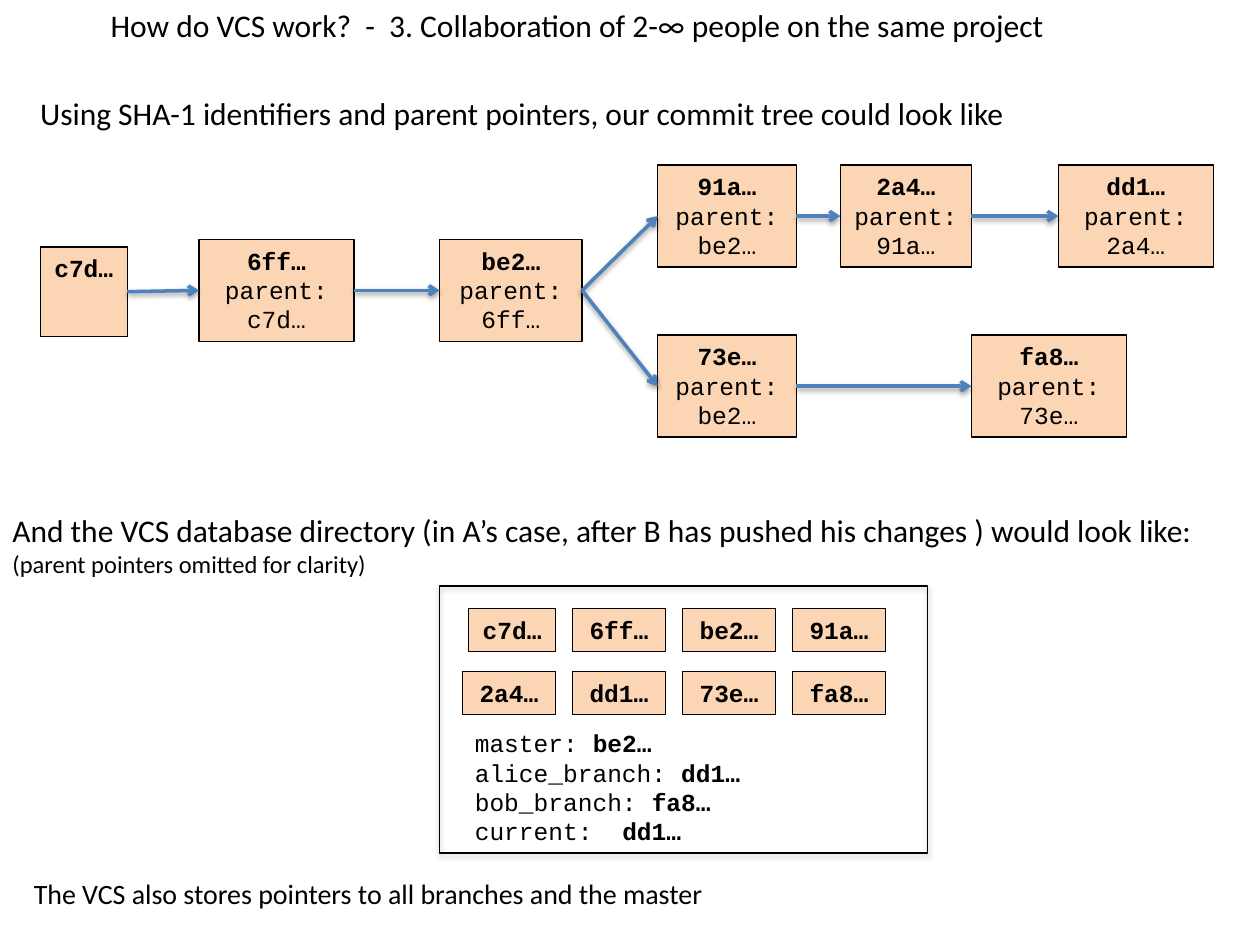
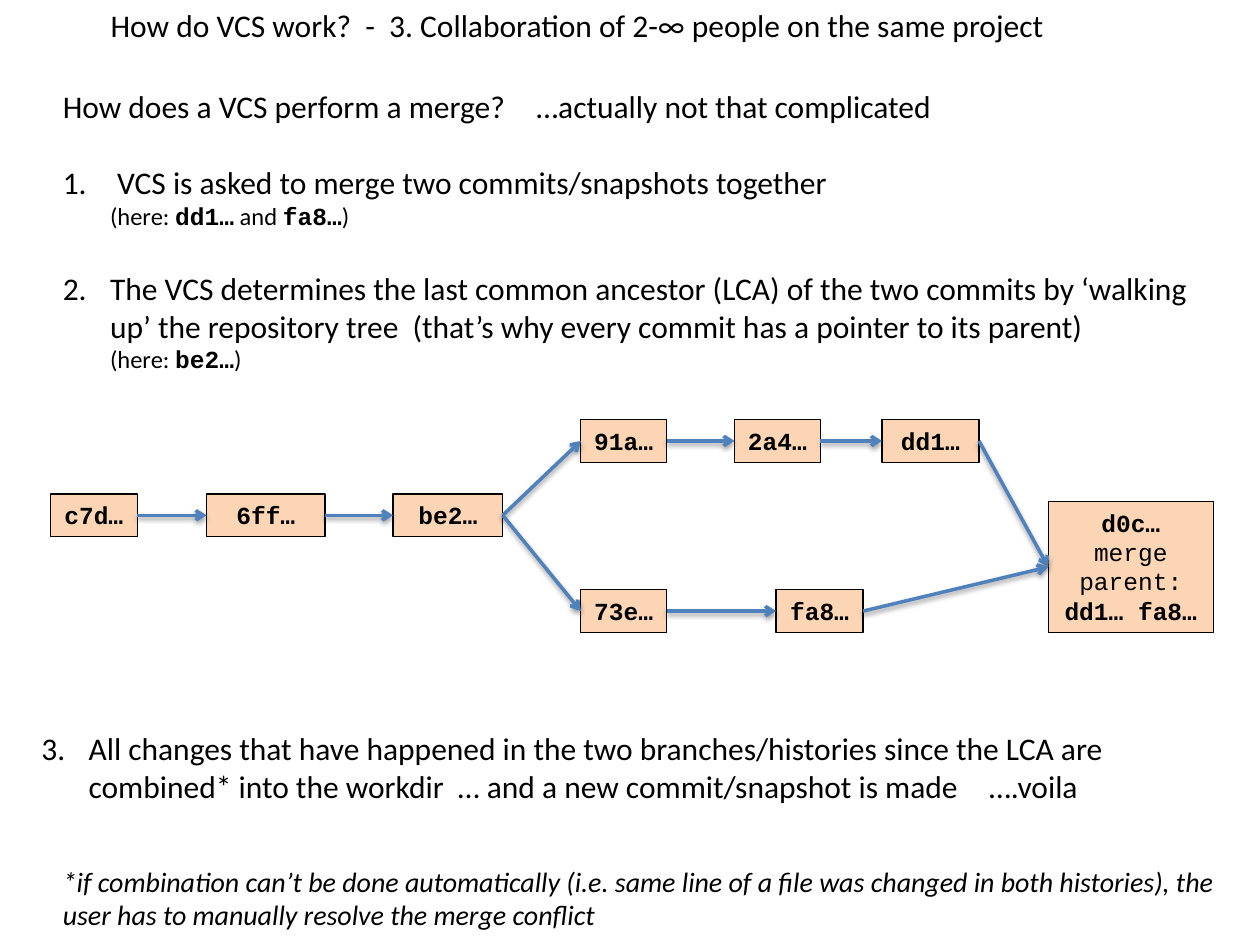
from lxml import etree
from pptx import Presentation
from pptx import util as u
from pptx.dml.color import RGBColor
from pptx.enum import shapes, text
from pptx.oxml import ns

BLACK = RGBColor(0x00, 0x00, 0x00)
PEACH = RGBColor(0xFC, 0xD5, 0xB5)
BLUE = RGBColor(0x4F, 0x81, 0xBD)
SANS, MONO = "Calibri", "Courier New"
TITLE = "How do VCS work?  -  3. Collaboration of 2-∞ people on the same project"

deck = Presentation()
deck.slide_width, deck.slide_height = u.Inches(10), u.Inches(7.5)
COL, ROW = deck.slide_width / 100, deck.slide_height / 75


def write(box, lines, size=18, font=SANS, italic=False, align=None, side=1, top=0.5):
    """Fill a box; `backticks` switch to bold code, a line may be (text, format)."""
    frame = box.text_frame
    frame.word_wrap = True
    frame.vertical_anchor = text.MSO_ANCHOR.TOP
    frame.margin_left = frame.margin_right = int(side * COL)
    frame.margin_top, frame.margin_bottom = int(top * ROW), int(0.5 * ROW)
    for index, line in enumerate(lines):
        words, form = line if isinstance(line, tuple) else (line, {})
        para = frame.add_paragraph() if index else frame.paragraphs[0]
        para.alignment = align
        if "before" in form:
            para.space_before = u.Pt(form["before"])
        if "hang" in form:
            props = para._p.get_or_add_pPr()
            props.set("marL", str(int(form["hang"] * COL)))
            props.set("indent", "0")
            if "number" in form:
                props.set("indent", str(-int(form["hang"] * COL)))
                etree.SubElement(props, ns.qn("a:buFont"), typeface="+mj-lt")
                etree.SubElement(props, ns.qn("a:buAutoNum"), type="arabicPeriod",
                                 startAt=str(form["number"]))
        for part, words_part in enumerate(words.split("`")):
            if not words_part:
                continue
            span = para.add_run()
            span.text = words_part
            span.font.size = u.Pt(form.get("size", size))
            span.font.name = MONO if part % 2 else font
            span.font.bold = bool(part % 2)
            span.font.italic = italic
            span.font.color.rgb = BLACK


def add_shadow(item, opacity):
    """Soft shadow straight below a shape or connector."""
    effects = item._element.spPr.find(ns.qn("a:effectLst"))
    if effects is None:
        effects = etree.SubElement(item._element.spPr, ns.qn("a:effectLst"))
    shadow = etree.SubElement(effects, ns.qn("a:outerShdw"), blurRad=str(u.Pt(3.1)),
                              dist=str(u.Pt(1.6)), dir="5400000", rotWithShape="0")
    colour = etree.SubElement(shadow, ns.qn("a:srgbClr"), val=str(BLACK))
    etree.SubElement(colour, ns.qn("a:alpha"), val=str(opacity * 1000))


# Texts of each page: left, top, width, height in grid units, lines, format
HANG = 3.75
note = {"hang": HANG, "size": 14}
tree_texts = [
    (2.2, 7, 100, 4,
     ["Using SHA-1 identifiers and parent pointers, our commit tree could look like"], {}),
    (0, 40.1, 100, 6.4,
     ["And the VCS database directory (in A’s case, after B has pushed his changes ) "
      "would look like:",
      ("(parent pointers omitted for clarity)", {"size": 14})], {}),
    (1.7, 69.1, 100, 3.7,
     ["The VCS also stores pointers to all branches and the master"], {"size": 16}),
    (36.7, 57.3, 24.9, 10.4,
     ["master: `be2…`", "alice_branch: `dd1…`", "bob_branch: `fa8…`", "current:  `dd1…`"],
     {"size": 14, "font": MONO}),
]
merge_texts = [
    (4, 6.4, 92.3, 27.6,
     ["How does a VCS perform a merge?\u2003…actually not that complicated",
      (" VCS is asked to merge two commits/snapshots together",
       {"hang": HANG, "number": 1, "before": 22}),
      ("(here: `dd1…` and `fa8…`)", note),
      ("The VCS determines the last common ancestor (LCA) of the two commits by "
       "‘walking up’ the repository tree  (that’s why every commit has a pointer "
       "to its parent)", {"hang": HANG, "number": 2, "before": 22}),
      ("(here: `be2…`)", note)], {}),
    (2.3, 54.3, 97.7, 13.1,
     [("All changes that have happened in the two branches/histories since the LCA are "
       "combined* into the workdir  … and a new commit/snapshot is made\u2003….voila",
       {"hang": HANG, "number": 3})], {"top": 3.55}),
    (4, 68.1, 96, 6.4,
     ["*if combination can’t be done automatically (i.e. same line of a file was changed "
      "in both histories), the user has to manually resolve the merge conflict"],
     {"size": 16, "italic": True}),
]

# Commits: left, top, width, height in grid units, lines below the name
MAIN, UPPER, LOWER, TALL = 19, 13.1, 26.6, 8.1
tree_commits = {
    "c7d…": (3.2, 19.6, 6.9, 7.1, []),
    "6ff…": (15.8, MAIN, 12.3, TALL, ["parent: c7d…"]),
    "be2…": (34.9, MAIN, 11.3, TALL, ["parent: 6ff…"]),
    "91a…": (52.2, UPPER, 11, TALL, ["parent: be2…"]),
    "2a4…": (66.7, UPPER, 10.4, TALL, ["parent: 91a…"]),
    "dd1…": (84, UPPER, 12.3, TALL, ["parent: 2a4…"]),
    "73e…": (52.2, LOWER, 11, TALL, ["parent: be2…"]),
    "fa8…": (77.1, LOWER, 12.3, TALL, ["parent: 73e…"]),
}
MAIN, UPPER, LOWER, FLAT = 39.2, 33.3, 46.8, 3.4
merge_commits = {
    "c7d…": (4, MAIN, 6.9, FLAT, []),
    "6ff…": (16.4, MAIN, 9.4, FLAT, []),
    "be2…": (31.2, MAIN, 8.7, FLAT, []),
    "91a…": (46.1, UPPER, 6.8, FLAT, []),
    "2a4…": (58.3, UPPER, 6.8, FLAT, []),
    "dd1…": (70, UPPER, 7.7, FLAT, []),
    "73e…": (46.1, LOWER, 6.8, FLAT, []),
    "fa8…": (61.6, LOWER, 6.9, FLAT, []),
    "d0c…": (83.2, 39.8, 13.1, 10.4, ["merge", "parent: `dd1… fa8…`"]),
}

# Branches, each a chain of commits joined by arrows
tree_chains = ["c7d… 6ff… be2… 91a… 2a4… dd1…", "be2… 73e… fa8…"]
merge_chains = [chain + " d0c…" for chain in tree_chains]

# Database directory: two rows of four commits, right edges aligned
stored = []
for index, name in enumerate("c7d… 6ff… be2… 91a… 2a4… dd1… 73e… fa8…".split()):
    row, column = divmod(index, 4)
    width = 7.4 if index else 6.9
    stored.append((name, (44.1 + 8.73 * column - width, 48.3 + 5 * row, width, FLAT, [])))

for texts, commits, chains, extra in [
    (tree_texts, tree_commits, tree_chains, stored),
    (merge_texts, merge_commits, merge_chains, []),
]:
    page = deck.slides.add_slide(deck.slide_layouts[6])

    # Frame of the database directory
    if extra:
        frame_box = page.shapes.add_shape(
            shapes.MSO_SHAPE.RECTANGLE, int(34.9 * COL), int(46.5 * ROW),
            int(38.7 * COL), int(21.2 * ROW))
        frame_box.fill.background()
        frame_box.line.color.rgb = BLACK
        frame_box.line.width = u.Pt(0.75)
        frame_box.shadow.inherit = False
        add_shadow(frame_box, 35)

    # Title and texts
    for left, top, width, height, lines, form in [(7.8, 0, 88.4, 4, [TITLE], {})] + texts:
        box = page.shapes.add_textbox(int(left * COL), int(top * ROW),
                                      int(width * COL), int(height * ROW))
        write(box, lines, **form)

    # Commit boxes
    boxes = {}
    for name, (left, top, width, height, lines) in extra + list(commits.items()):
        box = page.shapes.add_shape(
            shapes.MSO_SHAPE.RECTANGLE, int(left * COL), int(top * ROW),
            int(width * COL), int(height * ROW))
        box.fill.solid()
        box.fill.fore_color.rgb = PEACH
        box.line.color.rgb = BLACK
        box.line.width = u.Pt(0.75)
        box.shadow.inherit = False
        write(box, [f"`{name}`"] + lines, size=14, font=MONO,
              align=text.PP_ALIGN.CENTER, side=0.5)
        boxes[name] = box

    # Arrows from the right side of a commit to the left side of the next
    for chain in chains:
        names = chain.split()
        for start, end in zip(names, names[1:]):
            arrow = page.shapes.add_connector(shapes.MSO_CONNECTOR.STRAIGHT, 0, 0, 0, 0)
            arrow.begin_connect(boxes[start], 3)
            arrow.end_connect(boxes[end], 1)
            arrow.line.color.rgb = BLUE
            arrow.line.width = u.Pt(2)
            etree.SubElement(arrow.line._get_or_add_ln(), ns.qn("a:tailEnd"), type="arrow")
            add_shadow(arrow, 38)

deck.save("out.pptx")
